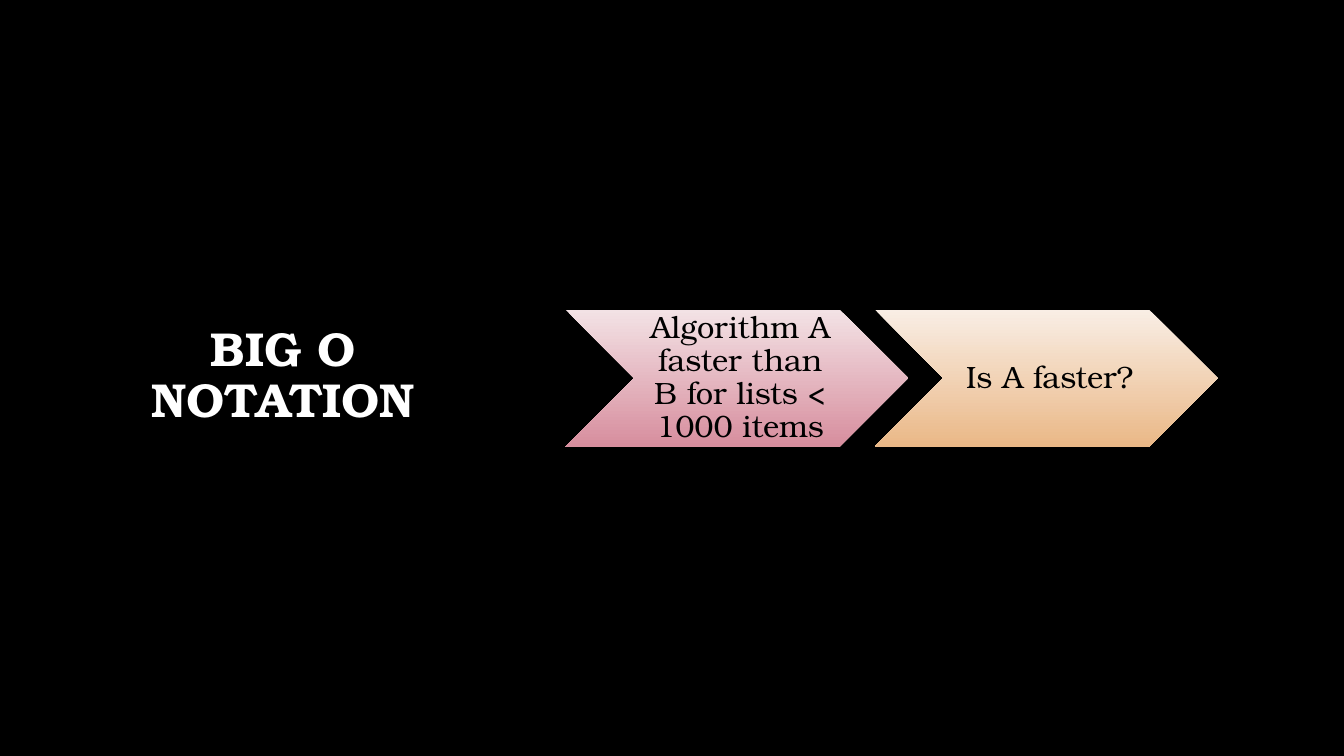
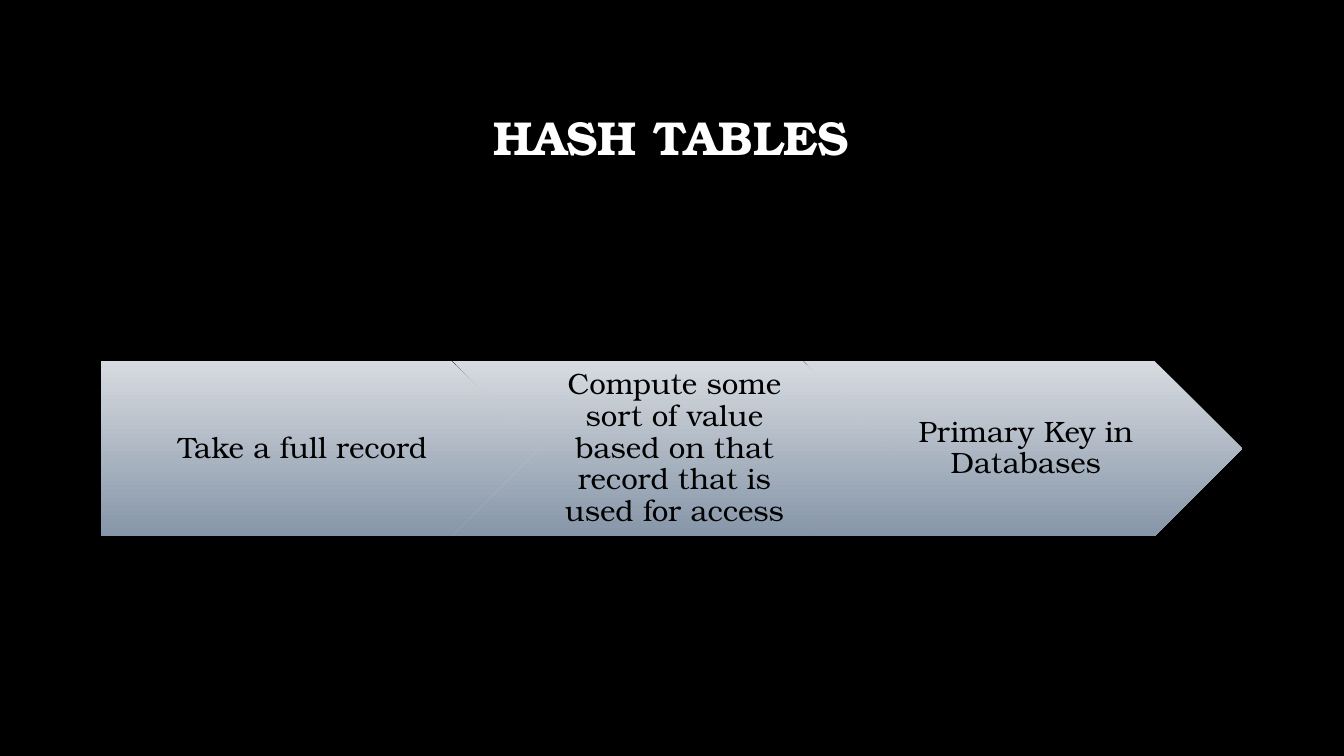
from pptx import Presentation
from pptx.dml.color import RGBColor
from pptx.enum.shapes import MSO_SHAPE
from pptx.enum.text import MSO_ANCHOR, MSO_AUTO_SIZE, PP_ALIGN
from pptx.util import Pt

FONT = "TeX Gyre Bonum"
COLORS = {
    "background": "000000",
    "title": "FFFFFF",
    "step text": "000000",
    "rose light": "F3E2E5",
    "rose": "D78E9E",
    "orange light": "F9EEE5",
    "orange": "EAB887",
    "slate light": "D7DBE0",
    "slate": "8695A8",
}

# Boxes are (left, top, width, height); insets are (left, top, right, bottom).
SLIDES = [
    {
        "title": "BIG O NOTATION",
        "title box": (59, 48.2, 286.6, 441.4),
        "first step": (403.9, 221.1, 244.8, 97.9),
        "pitch": 221,
        "size": 22,
        "steps": [
            (MSO_SHAPE.CHEVRON, "rose", (7.2, 2.2, 2.2, 2.2),
             "Algorithm A faster than B for lists < 1000 items"),
            (MSO_SHAPE.CHEVRON, "orange", (7.2, 2.2, 2.2, 2.2), "Is A faster?"),
        ],
    },
    {
        "title": "HASH TABLES",
        "title box": (72, 48.2, 815, 104.4),
        "first step": (72, 257.8, 313.2, 125.3),
        "pitch": 251,
        "size": 21,
        "steps": [
            (MSO_SHAPE.PENTAGON, "slate", (8.6, 4.3, 2.2, 4.3), "Take a full record"),
            (MSO_SHAPE.CHEVRON, "slate", (6.5, 4.3, 2.2, 4.3),
             "Compute some sort of value based on that record that is used for access"),
            (MSO_SHAPE.CHEVRON, "slate", (6.5, 4.3, 2.2, 4.3), "Primary Key in Databases"),
        ],
    },
]


def color(name):
    return RGBColor.from_string(COLORS[name])


def write_centered(shape, text, size, color_name, bold=False):
    frame = shape.text_frame
    frame.word_wrap = True
    frame.auto_size = MSO_AUTO_SIZE.NONE
    frame.vertical_anchor = MSO_ANCHOR.MIDDLE
    para = frame.paragraphs[0]
    para.text = text
    para.alignment = PP_ALIGN.CENTER
    para.line_spacing = 0.9
    para.font.name = FONT
    para.font.size = Pt(size)
    para.font.bold = bold
    para.font.color.rgb = color(color_name)


deck = Presentation()
deck.slide_width, deck.slide_height = Pt(960), Pt(540)
background = deck.slide_master.background.fill
background.solid()
background.fore_color.rgb = color("background")
title_only = deck.slide_layouts[5]

for content in SLIDES:
    page = deck.slides.add_slide(title_only)
    title = page.shapes.title
    title.left, title.top, title.width, title.height = map(Pt, content["title box"])
    write_centered(title, content["title"], 34, "title", bold=True)

    left, top, width, height = content["first step"]
    for index, (outline, hue, insets, text) in enumerate(content["steps"]):
        step = page.shapes.add_shape(
            outline, Pt(left + index * content["pitch"]), Pt(top), Pt(width), Pt(height))
        step.shadow.inherit = False
        step.line.fill.background()
        step.fill.gradient()
        step.fill.gradient_angle = 270
        for stop, shade in zip(step.fill.gradient_stops, (hue + " light", hue)):
            stop.color.rgb = color(shade)
        frame = step.text_frame
        (frame.margin_left, frame.margin_top,
         frame.margin_right, frame.margin_bottom) = map(Pt, insets)
        write_centered(step, text, content["size"], "step text")

deck.save("out.pptx")
